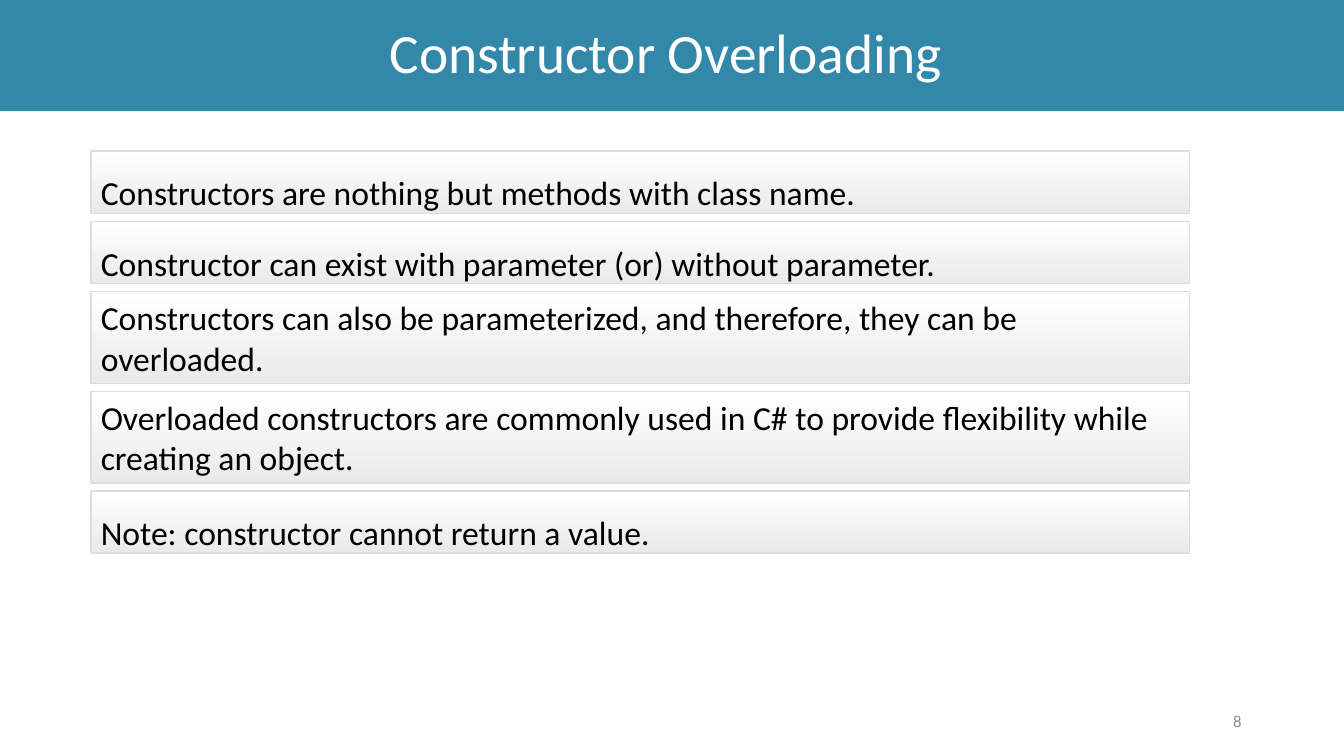
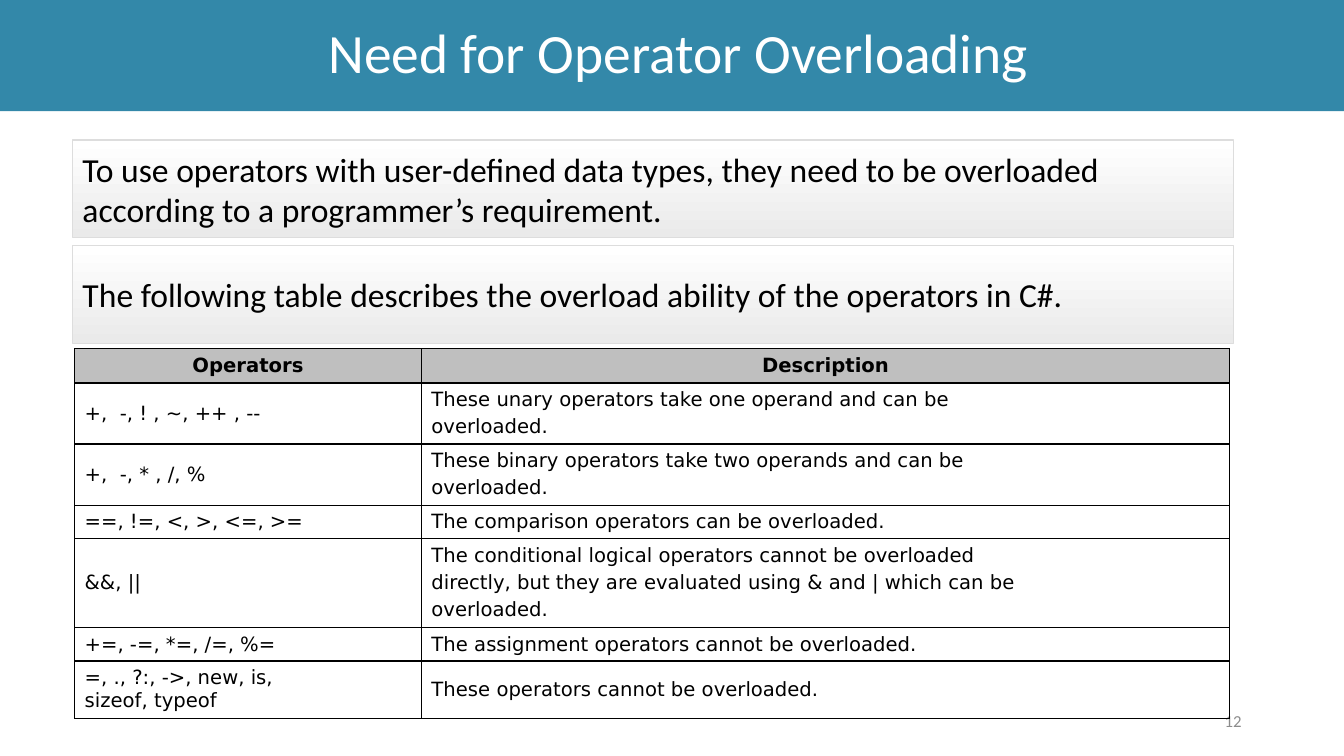
from lxml.etree import SubElement
from pptx import Presentation
from pptx.dml.color import RGBColor
from pptx.enum.shapes import MSO_SHAPE
from pptx.enum.text import MSO_ANCHOR, MSO_AUTO_SIZE, PP_ALIGN
from pptx.oxml.ns import qn
from pptx.util import Cm, Pt

BAND = "3388A9"
WHITE = "FFFFFF"
BLACK = "000000"
NUMBER_GRAY = "8C8C8C"
CARD_BOTTOM = "EAEAEA"
CARD_LINE = "DDDDDD"
HEADER_FILL = "BFBFBF"
CARD_GAP = 0.2


def color(value):
    return RGBColor.from_string(value)


def write_text(frame, text, size=24, font="Calibri", fill=BLACK, bold=False,
               align=PP_ALIGN.LEFT, line_spacing=1.0, gap=0):
    frame.word_wrap = True
    frame.vertical_anchor = MSO_ANCHOR.MIDDLE
    for index, line in enumerate(text.split("\n")):
        paragraph = frame.add_paragraph() if index else frame.paragraphs[0]
        paragraph.text = line
        paragraph.alignment = align
        paragraph.line_spacing = line_spacing
        paragraph.space_before = Pt(gap if index else 0)
        paragraph.font.size = Pt(size)
        paragraph.font.name = font
        paragraph.font.bold = bold
        paragraph.font.color.rgb = color(fill)


slides = [
    {
        "title": "Constructor Overloading", "shift": -0.16, "number": "8",
        "left": 2.29, "top": 3.81, "width": 27.69,
        "cards": [
            ("Constructors are nothing but methods with class name.", 1.57, 1.5),
            ("Constructor can exist with parameter (or) without parameter.", 1.57, 1.5),
            ("Constructors can also be parameterized, and therefore, they can be overloaded.", 2.31, 1.0),
            ("Overloaded constructors are commonly used in C# to provide flexibility "
             "while creating an object.", 2.31, 1.0),
            ("Note: constructor cannot return a value.", 1.57, 1.5),
        ],
    },
    {
        "title": "Need for Operator Overloading", "shift": 0.16, "number": "12",
        "left": 1.83, "top": 3.53, "width": 29.26,
        "cards": [
            ("To use operators with user-defined data types, they need to be overloaded "
             "according to a programmer’s requirement.", 2.46, 1.0),
            ("The following table describes the overload ability of the operators in C#.", 2.46, 1.0),
        ],
    },
]

operator_rows = [
    ("Operators", "Description", 0.86),
    ("+,  -, ! , ~, ++ , --", "These unary operators take one operand and can be\noverloaded.", 1.51),
    ("+,  -, * , /, %", "These binary operators take two operands and can be\noverloaded.", 1.51),
    ("==, !=, <, >, <=, >=", "The comparison operators can be overloaded.", 0.83),
    ("&&, ||", "The conditional logical operators cannot be overloaded\n"
     "directly, but they are evaluated using & and | which can be\noverloaded.", 2.21),
    ("+=, -=, *=, /=, %=", "The assignment operators cannot be overloaded.", 0.83),
    ("=, ., ?:, ->, new, is,\nsizeof, typeof", "These operators cannot be overloaded.", 1.42),
]

presentation = Presentation()
presentation.slide_width = Cm(33.87)
presentation.slide_height = Cm(19.05)

for content in slides:
    slide = presentation.slides.add_slide(presentation.slide_layouts[5])
    title = slide.shapes.title
    title.left, title.top = Cm(0), Cm(0)
    title.width, title.height = presentation.slide_width, Cm(2.8)
    title.fill.solid()
    title.fill.fore_color.rgb = color(BAND)
    title.text_frame.auto_size = MSO_AUTO_SIZE.NONE
    title.text_frame.margin_left = Cm(0.5 + content["shift"])
    title.text_frame.margin_right = Cm(0.5 - content["shift"])
    write_text(title.text_frame, content["title"], size=39.6, fill=WHITE,
               align=PP_ALIGN.CENTER, line_spacing=0.9)

    number = slide.shapes.add_textbox(Cm(23.92), Cm(17.66), Cm(7.62), Cm(1.01))
    write_text(number.text_frame, content["number"], size=12, fill=NUMBER_GRAY,
               align=PP_ALIGN.RIGHT)

    top = content["top"]
    for text, height, line_spacing in content["cards"]:
        card = slide.shapes.add_shape(MSO_SHAPE.RECTANGLE, Cm(content["left"]), Cm(top),
                                      Cm(content["width"]), Cm(height))
        card.shadow.inherit = False
        card.fill.gradient()
        card.fill.gradient_angle = 270
        for stop, stop_color in zip(card.fill.gradient_stops, (WHITE, CARD_BOTTOM)):
            stop.color.rgb = color(stop_color)
        card.line.color.rgb = color(CARD_LINE)
        card.line.width = Pt(1)
        write_text(card.text_frame, text, line_spacing=line_spacing)
        top += height + CARD_GAP

table_height = sum(height for operators, description, height in operator_rows)
table = slide.shapes.add_table(len(operator_rows), 2, Cm(1.88), Cm(8.79),
                               Cm(29.11), Cm(table_height)).table
table.first_row = False
table.horz_banding = False
table.columns[0].width = Cm(8.74)
table.columns[1].width = Cm(20.37)

for row_index, (operators, description, height) in enumerate(operator_rows):
    table.rows[row_index].height = Cm(height)
    is_header = row_index == 0
    for column_index, text in enumerate((operators, description)):
        cell = table.cell(row_index, column_index)
        properties = cell._tc.get_or_add_tcPr()
        for side in ("a:lnL", "a:lnR", "a:lnT", "a:lnB"):
            border = SubElement(properties, qn(side), w=str(Pt(1)))
            border_fill = SubElement(border, qn("a:solidFill"))
            SubElement(border_fill, qn("a:srgbClr"), val=BLACK)
        if is_header:
            cell.fill.solid()
            cell.fill.fore_color.rgb = color(HEADER_FILL)
        else:
            cell.fill.background()
        cell.vertical_anchor = MSO_ANCHOR.MIDDLE
        write_text(cell.text_frame, text, size=14, font="DejaVu Sans", bold=is_header,
                   align=PP_ALIGN.CENTER if is_header else PP_ALIGN.LEFT,
                   gap=2.8 if column_index == 1 else 0)

presentation.save("out.pptx")
